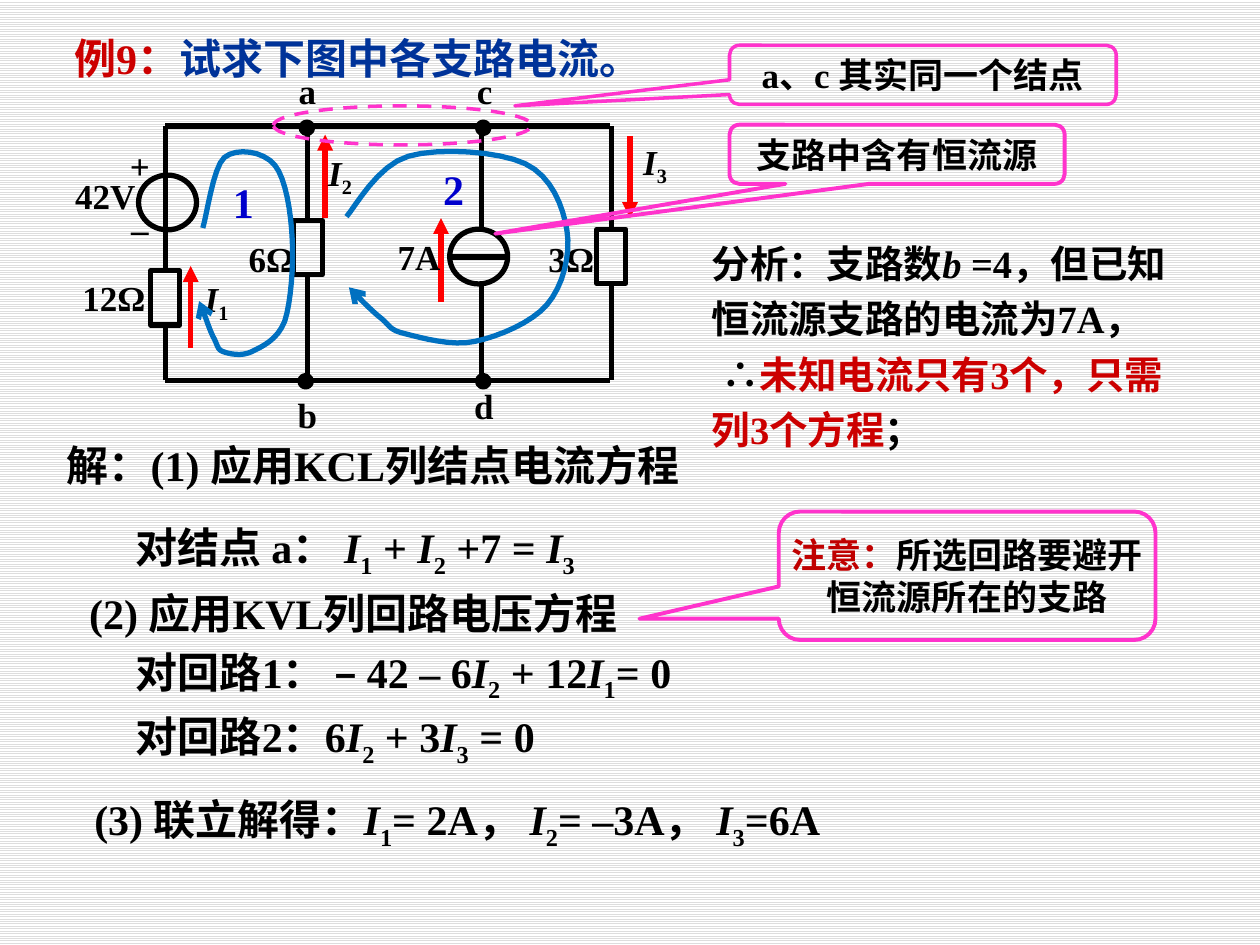
from lxml import etree
from pptx import Presentation
from pptx.dml.color import RGBColor
from pptx.enum.dml import MSO_LINE, MSO_PATTERN
from pptx.enum.shapes import MSO_CONNECTOR, MSO_SHAPE
from pptx.enum.text import MSO_ANCHOR, MSO_AUTO_SIZE, PP_ALIGN
from pptx.oxml.ns import qn
from pptx.util import Pt

STRAIGHT = MSO_CONNECTOR.STRAIGHT
OVAL, RECTANGLE = MSO_SHAPE.OVAL, MSO_SHAPE.RECTANGLE
CALLOUT = MSO_SHAPE.ROUNDED_RECTANGULAR_CALLOUT
MIDDLE, CENTER = MSO_ANCHOR.MIDDLE, PP_ALIGN.CENTER
GROW = MSO_AUTO_SIZE.SHAPE_TO_FIT_TEXT
TOP, BOTTOM = 0, 2
BLACK, RED, PINK = "000000", "CC0000", "FF33CC"
FONT = {"name": "Times New Roman", "size": Pt(24), "bold": True, "color": BLACK}
color = RGBColor.from_string


def write(shape, paragraphs, frame, para_format, **font):
    """Fill a shape with lists of spans; a span is a text or (text, font changes)."""
    for name, value in frame.items():
        setattr(shape.text_frame, name, value)
    for number, spans in enumerate(paragraphs):
        para = shape.text_frame.paragraphs[0] if number == 0 else shape.text_frame.add_paragraph()
        for name, value in para_format.items():
            setattr(para, name, value)
        for item in spans:
            text, changes = (item, {}) if isinstance(item, str) else item
            formats = FONT | font | changes
            span = para.add_run()
            span.text = text
            span.font.color.rgb = color(formats.pop("color"))
            if "baseline" in formats:
                span._r.get_or_add_rPr().set("baseline", formats.pop("baseline"))
            for name, value in formats.items():
                setattr(span.font, name, value)


def outline(shape, line_color=BLACK, width=3, arrow=None, fill=None):
    """Give a shape or connector its line, optional arrowhead and fill, and no shadow."""
    shape.line.color.rgb = color(line_color)
    shape.line.width = Pt(width)
    if arrow:
        etree.SubElement(shape.line._get_or_add_ln(), qn("a:tailEnd"), type=arrow)
    if hasattr(shape, "fill"):
        shape.shadow.inherit = False
        if fill:
            shape.fill.solid()
            shape.fill.fore_color.rgb = color(fill)
        else:
            shape.fill.background()
    else:
        etree.SubElement(shape._element.spPr, qn("a:effectLst"))


deck = Presentation()
deck.slide_width, deck.slide_height = Pt(720), Pt(540)
page = deck.slides.add_slide(deck.slide_layouts[6])
shapes = page.shapes

backdrop = page.background.fill
backdrop.patterned()
backdrop.pattern = MSO_PATTERN.LIGHT_HORIZONTAL
backdrop.fore_color.rgb = color("DDDDDD")
backdrop.back_color.rgb = color("FFFFFF")

# Question and solution steps
I1, I2, I3 = ([("I", {"italic": True}), (n, {"baseline": "-25000"})] for n in "123")
steps = [
    (35.3, 15.1, 330, [("例9：", {"color": RED}), ("试求下图中各支路电流。", {"color": "003399"})]),
    (31, 247.7, 493, ["解：(1) 应用KCL列结点电流方程"]),
    (70.6, 294.5, 348, ["对结点 a： ", *I1, " + ", *I2, " +7 = ", *I3]),
    (43.9, 331.9, 349, ["(2) 应用KVL列回路电压方程"]),
    (70.6, 365.8, 384, ["对回路1： – 42 – 6", *I2, " + 12", *I1, "= 0"]),
    (70.6, 402.5, 450, ["对回路2：6", *I2, " + 3", *I3, " = 0"]),
    (46.8, 450, 488, ["(3) 联立解得：", *I1, "= 2A， ", *I2, "= –3A， ", *I3, "=6A"]),
    (126, 97.2, 48, [("1", {"color": "0000CC"})]),
    (246.2, 90, 27, [("2", {"color": "0000CC"})]),
]
for left, top, width, spans in steps:
    box = shapes.add_textbox(Pt(left), Pt(top), Pt(width), Pt(36))
    write(box, [spans], {"word_wrap": True, "auto_size": GROW}, {})

# Circuit wires
TOP_WIRE, BOTTOM_WIRE, LEFT_WIRE, RIGHT_WIRE, SOURCE_X = 72, 217.4, 94.5, 348.5, 275
wires = [
    (LEFT_WIRE, TOP_WIRE, RIGHT_WIRE, TOP_WIRE),
    (LEFT_WIRE, BOTTOM_WIRE, RIGHT_WIRE, BOTTOM_WIRE),
    (SOURCE_X, TOP_WIRE, SOURCE_X, 131),
    (SOURCE_X, 162.7, SOURCE_X, BOTTOM_WIRE),
    (257, 146.9, 290.9, 146.9),
]
for ends in wires:
    outline(shapes.add_connector(STRAIGHT, *map(Pt, ends)))

# Resistors, each wired to the top and bottom rails
for left, top in [(86.2, 154.8), (167.6, 126), (341, 131)]:
    resistor = shapes.add_shape(RECTANGLE, Pt(left), Pt(top), Pt(16.6), Pt(31))
    outline(resistor)
    for side, rail in [(TOP, TOP_WIRE), (BOTTOM, BOTTOM_WIRE)]:
        rail_x = left + 8.3
        lead = shapes.add_connector(STRAIGHT, Pt(rail_x), Pt(rail), Pt(rail_x), Pt(top))
        lead.end_connect(resistor, side)
        outline(lead)

# Sources and nodes
for left, top in [(79.2, 100.1), (257, 131)]:
    outline(shapes.add_shape(OVAL, Pt(left), Pt(top), Pt(33.1), Pt(31.3)))
for left, top in [(172.1, 69.8), (272.9, 69.8), (171.4, 214.6), (272.9, 214.6)]:
    node = shapes.add_shape(OVAL, Pt(left), Pt(top), Pt(6.5), Pt(6.5))
    outline(node, fill=BLACK)

# Current directions
for x, start, end in [(109, 198.7, 152), (185.8, 124.6, 77), (252, 172.8, 124.6), (360, 77.8, 124.6)]:
    current = shapes.add_connector(STRAIGHT, Pt(x), Pt(start), Pt(x), Pt(end))
    outline(current, "FF0000", arrow="triangle")

# Circuit labels
labels = [
    (163.4, 36, 24.5, [["a"]]), (265, 36, 23.8, [["c"]]),
    (162.7, 221, 25.9, [["b"]]), (263.5, 216, 25.9, [["d"]]),
    (35.3, 95.8, 49.7, [["42V"]]), (28.8, 154.1, 72.7, [["12Ω"]]),
    (130.3, 131.8, 49.7, [["6Ω"]]), (214.6, 131, 49.7, [["7A"]]),
    (298.8, 131.8, 55.4, [["3Ω"]]), (63.4, 78.5, 33.1, [["+"], ["–"]]),
    (109.4, 156.2, 28.8, [I1]), (180, 84.2, 28.8, [I2]), (360, 77.8, 28.8, [I3]),
]
for left, top, width, paragraphs in labels:
    height = 31.7 if len(paragraphs) == 1 else 67.7
    box = shapes.add_textbox(Pt(left), Pt(top), Pt(width), Pt(height))
    frame = {"word_wrap": False, "auto_size": GROW, "vertical_anchor": MIDDLE}
    write(box, paragraphs, frame, {"alignment": CENTER}, size=Pt(20))
    for para in box.text_frame.paragraphs[1:]:
        para.space_before = Pt(12)

# Loop arrows: a start point, then three Bezier points for each piece
loops = [
    [(115.9, 130.3), (118.1, 123.8), (121.7, 95.8), (128.2, 90),
     (135.4, 84.2), (150.5, 86.4), (157, 94.3), (163.4, 102.2), (166.3, 121.7), (167, 136.8),
     (167.8, 151.2), (166.3, 172.8), (162.7, 183.6), (158.4, 194.4), (149.8, 198), (144, 200.9),
     (138.2, 203.8), (131, 202.3), (127.4, 200.9), (123.8, 199.4), (124.6, 197.3), (121.7, 192.2),
     (119.5, 187.9), (115.9, 176.4), (113.8, 172.1)],
    [(198, 123.8), (203, 118.1), (216, 94.3), (233.3, 89.3),
     (250.6, 84.2), (285.1, 86.4), (300.2, 93.6), (315.4, 100.8), (321.8, 118.1), (324, 131.8),
     (326.2, 145.4), (321.8, 163.4), (312.5, 174.2), (303.8, 184.3), (285.1, 192.2), (271.4, 195.1),
     (258.5, 198), (240.5, 193), (231.8, 190.8), (222.5, 188.6), (223.2, 186.5), (218.2, 182.2),
     (212.4, 177.8), (203, 168), (199.4, 164.2)],
]
STEPS = 8
for points in loops:
    curve = []
    for first in range(0, len(points) - 1, 3):
        piece = points[first:first + 4]
        for step in range(1, STEPS + 1):
            t = step / STEPS
            weights = ((1 - t) ** 3, 3 * t * (1 - t) ** 2, 3 * t ** 2 * (1 - t), t ** 3)
            curve.append(tuple(Pt(sum(w * p[axis] for w, p in zip(weights, piece))) for axis in (0, 1)))
    builder = shapes.build_freeform(Pt(points[0][0]), Pt(points[0][1]))
    builder.add_line_segments(curve, close=False)
    outline(builder.convert_to_shape(), "0070C0", arrow="arrow")

# Nodes a and c marked as one
same_node = shapes.add_shape(OVAL, Pt(156.2), Pt(60.5), Pt(147.6), Pt(22.3))
outline(same_node, PINK, 2)
same_node.line.dash_style = MSO_LINE.DASH

# Analysis
analysis = shapes.add_textbox(Pt(399.6), Pt(128.2), Pt(289.4), Pt(135.4))
write(analysis, [
    ["分析：支路数", ("b ", {"italic": True}), "=4，但已知恒流源支路的电流为7A，"],
    ["∴", ("未知电流只有3个，只需列3个方程", {"color": RED}), "；"],
], {"word_wrap": True, "auto_size": GROW}, {"line_spacing": 1.2}, size=Pt(22))
conclusion = analysis.text_frame.paragraphs[1]
conclusion._p.get_or_add_pPr().set("indent", str(Pt(5.5)))

# Callouts
callouts = [
    (416.9, 25.9, 221, 33.8, 2, (-1.055, 0.524), [["a、c 其实同一个结点"]]),
    (416.9, 71.3, 191.5, 33.8, 2.25, (-1.199, 1.343), [["支路中含有恒流源"]]),
    (445, 292.3, 215.3, 73.4, 2.25, (-0.87, 0.335),
     [[("注意：", {"color": "C00000"}), "所选回路要避开"], ["恒流源所在的支路"]]),
]
for left, top, width, height, weight, pointer, paragraphs in callouts:
    callout = shapes.add_shape(CALLOUT, Pt(left), Pt(top), Pt(width), Pt(height))
    callout.adjustments[0], callout.adjustments[1] = pointer
    outline(callout, PINK, weight)
    frame = {"word_wrap": False, "vertical_anchor": MIDDLE}
    write(callout, paragraphs, frame, {"alignment": CENTER}, size=Pt(20))

deck.save("out.pptx")
